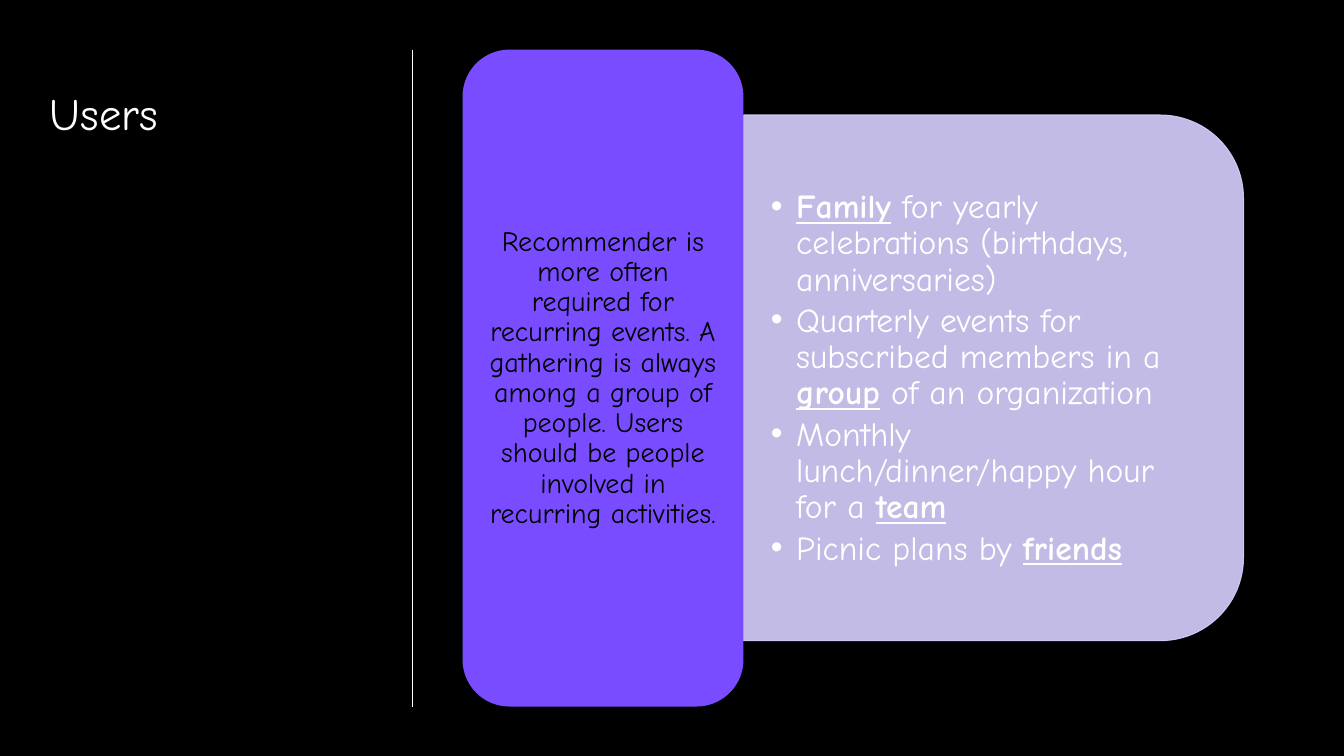
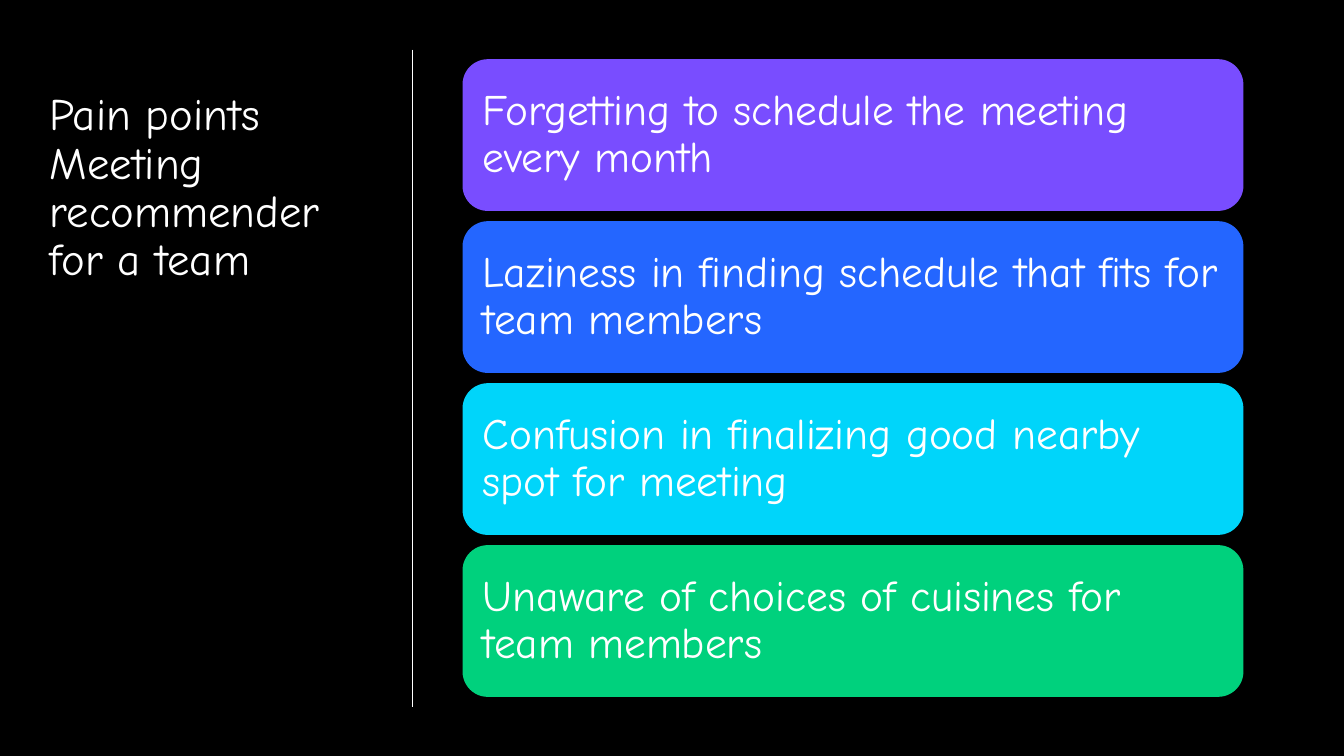
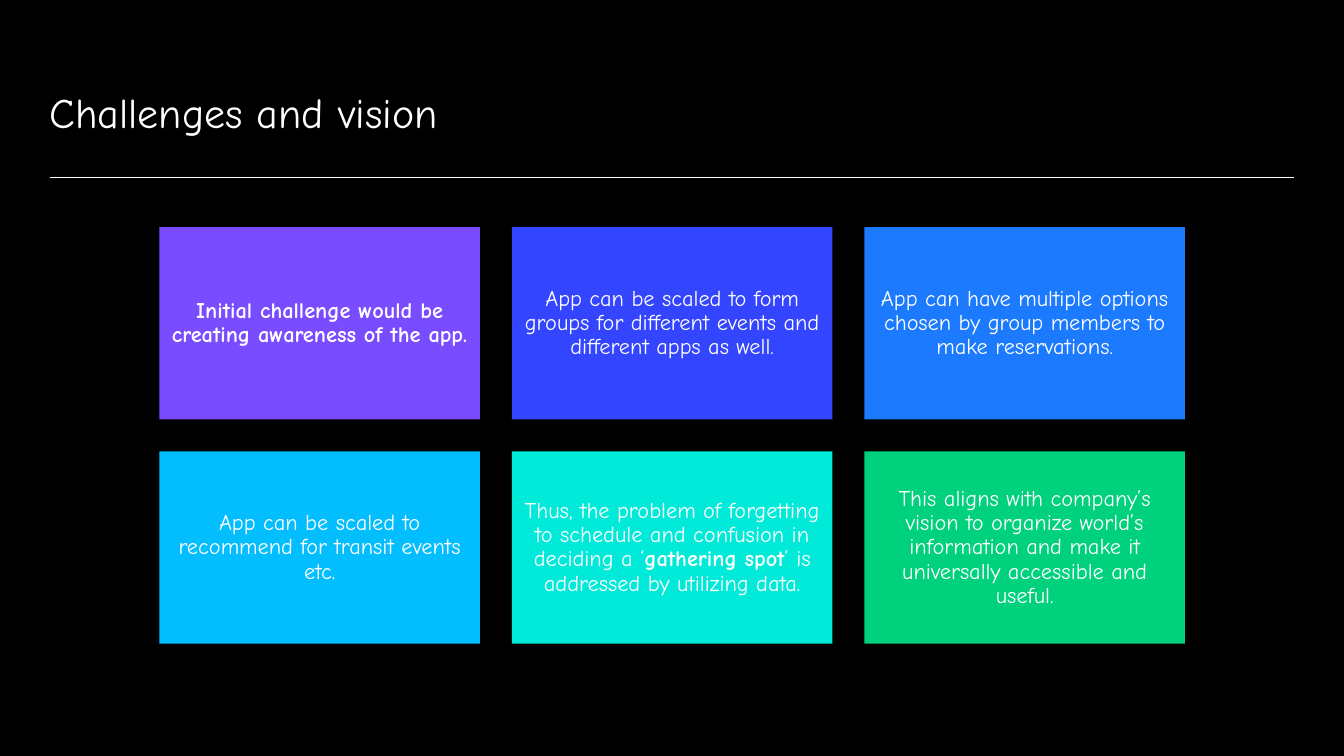
from lxml import etree
from pptx import Presentation
from pptx.dml.color import RGBColor
from pptx.enum import shapes, text
from pptx.oxml.ns import qn
from pptx.util import Pt

FONT = "Comic Neue"
BLACK, WHITE = "000000", "FFFFFF"
VIOLET, LAVENDER, GREEN = "794DFF", "D7D0FF", "00D17D"
MARGIN = 35.5
CONTENT_LEFT = 330.4


def write(shape, paragraphs, size, color=WHITE, align=text.PP_ALIGN.LEFT,
          anchor=text.MSO_ANCHOR.MIDDLE, insets=(0, 0, 0, 0), after=0,
          underline=False):
    """Fill a shape with paragraphs; words between asterisks are emphasised."""
    frame = shape.text_frame
    frame.word_wrap = True
    frame.auto_size = text.MSO_AUTO_SIZE.NONE
    frame.vertical_anchor = anchor
    (frame.margin_left, frame.margin_top,
     frame.margin_right, frame.margin_bottom) = map(Pt, insets)
    for index, content in enumerate(paragraphs):
        paragraph = frame.add_paragraph() if index else frame.paragraphs[0]
        paragraph.alignment = align
        paragraph.line_spacing = 0.9
        paragraph.space_before, paragraph.space_after = Pt(0), Pt(after)
        for part, words in enumerate(content.split("*")):
            if not words:
                continue
            run = paragraph.add_run()
            run.text = words
            run.font.name, run.font.size = FONT, Pt(size)
            run.font.color.rgb = RGBColor.from_string(color)
            run.font.bold = part % 2 == 1
            run.font.underline = underline and part % 2 == 1


def add_block(slide, kind, left, top, width, height, color):
    """Add a flat, filled shape without an outline."""
    shape = slide.shapes.add_shape(kind, Pt(left), Pt(top), Pt(width), Pt(height))
    shape.shadow.inherit = False
    shape.fill.solid()
    shape.fill.fore_color.rgb = RGBColor.from_string(color)
    shape.line.fill.background()
    return shape


presentation = Presentation()
presentation.slide_width, presentation.slide_height = Pt(960), Pt(540)
background = presentation.slide_master.background.fill
background.solid()
background.fore_color.rgb = RGBColor.from_string(BLACK)

# Titles and divider lines
side_title = dict(place=(MARGIN, 31, 225, 469.5), size=32,
                  anchor=text.MSO_ANCHOR.TOP, insets=(0, 34.6, 0, 0),
                  divider=(294.6, MARGIN, 294.6, 505), weight=0.75)
top_title = dict(place=(MARGIN, 31, 890, 67.5), size=30,
                 anchor=text.MSO_ANCHOR.BOTTOM, insets=(0, 0, 0, 0),
                 divider=(MARGIN, 126.8, 924.5, 126.8), weight=0.5)
slides = []
for title, layout, style in [
    ("Users", 1, side_title),
    ("Pain points Meeting recommender for a team", 5, side_title),
    ("Challenges and vision", 5, top_title),
]:
    slide = presentation.slides.add_slide(presentation.slide_layouts[layout])
    heading = slide.shapes.title
    heading.left, heading.top, heading.width, heading.height = map(Pt, style["place"])
    write(heading, [title], style["size"], anchor=style["anchor"],
          insets=style["insets"])
    divider = slide.shapes.add_connector(shapes.MSO_CONNECTOR.STRAIGHT,
                                         *map(Pt, style["divider"]))
    divider.line.color.rgb = RGBColor.from_string(WHITE)
    divider.line.width = Pt(style["weight"])
    etree.SubElement(divider._element.spPr, qn("a:effectLst"))
    slides.append(slide)
users, pain_points, vision = slides

# Users
panel = add_block(users, shapes.MSO_SHAPE.ROUND_2_SAME_RECTANGLE,
                  522, 91.4, 375.5, 357, LAVENDER)
panel.rotation = 90
panel.line.color.rgb = RGBColor.from_string(LAVENDER)
panel.line.width = Pt(0.75)
for panel_color in panel._element.spPr.iter(qn("a:srgbClr")):
    etree.SubElement(panel_color, qn("a:alpha"), val="90000")

user_list = users.placeholders[1]
user_list.left, user_list.top = Pt(531.2), Pt(100)
user_list.width, user_list.height = Pt(340), Pt(340.5)
write(user_list, [
    "*Family* for yearly celebrations (birthdays, anniversaries)",
    "Quarterly events for subscribed members in a *group* of an organization",
    "Monthly lunch/dinner/happy hour for a *team*",
    "Picnic plans by *friends*",
], 24, insets=(19.5, 9.75, 19.5, 9.75), after=3.6, underline=True)
for paragraph in user_list.text_frame.paragraphs:
    properties = paragraph._p.get_or_add_pPr()
    properties.set("marL", str(Pt(18)))
    properties.set("indent", str(Pt(-18)))
    etree.SubElement(properties, qn("a:buFont"), typeface="Arial")
    etree.SubElement(properties, qn("a:buChar"), char="•")
users.shapes._spTree.append(user_list._element)

reason = add_block(users, shapes.MSO_SHAPE.ROUNDED_RECTANGLE,
                   CONTENT_LEFT, MARGIN, 200.6, 469.2, VIOLET)
write(reason, [
    "Recommender is more often required for recurring events. A gathering is "
    "always among a group of people. Users should be people involved in "
    "recurring activities.",
], 20, color=BLACK, align=text.PP_ALIGN.CENTER, insets=(6, 3, 6, 3))

# Pain points
for row, (pain, color) in enumerate([
    ("Forgetting to schedule the meeting every month", VIOLET),
    ("Laziness in finding schedule that fits for team members", "2466FF"),
    ("Confusion in finalizing good nearby spot for meeting", "00D5FA"),
    ("Unaware of choices of cuisines for team members", GREEN),
]):
    bar = add_block(pain_points, shapes.MSO_SHAPE.ROUNDED_RECTANGLE,
                    CONTENT_LEFT, 42.3 + row * 115.7, 557.8, 108.4, color)
    write(bar, [pain], 31, insets=(9.3, 9.3, 9.3, 9.3))

# Challenges and vision
CARD_WIDTH, CARD_HEIGHT, CARD_GAP = 228.9, 137.3, 22.9
for index, (statement, color) in enumerate([
    ("*Initial challenge would be creating awareness of the app.*", VIOLET),
    ("App can be scaled to form groups for different events and different "
     "apps as well.", "3445FF"),
    ("App can have multiple options chosen by group members to make "
     "reservations.", "1C7AFF"),
    ("App can be scaled to recommend for transit events etc.", "03BEFF"),
    ("Thus, the problem of forgetting to schedule and confusion in deciding a "
     "‘*gathering spot*’ is addressed by utilizing data.", "00EAD9"),
    ("This aligns with company’s vision to organize world’s information and "
     "make it universally accessible and useful.", GREEN),
]):
    row, column = divmod(index, 3)
    card = add_block(vision, shapes.MSO_SHAPE.RECTANGLE,
                     113.9 + column * (CARD_WIDTH + CARD_GAP),
                     162.3 + row * (CARD_HEIGHT + CARD_GAP),
                     CARD_WIDTH, CARD_HEIGHT, color)
    write(card, [statement], 16, align=text.PP_ALIGN.CENTER,
          insets=(4.8, 4.8, 4.8, 4.8))

presentation.save("out.pptx")
